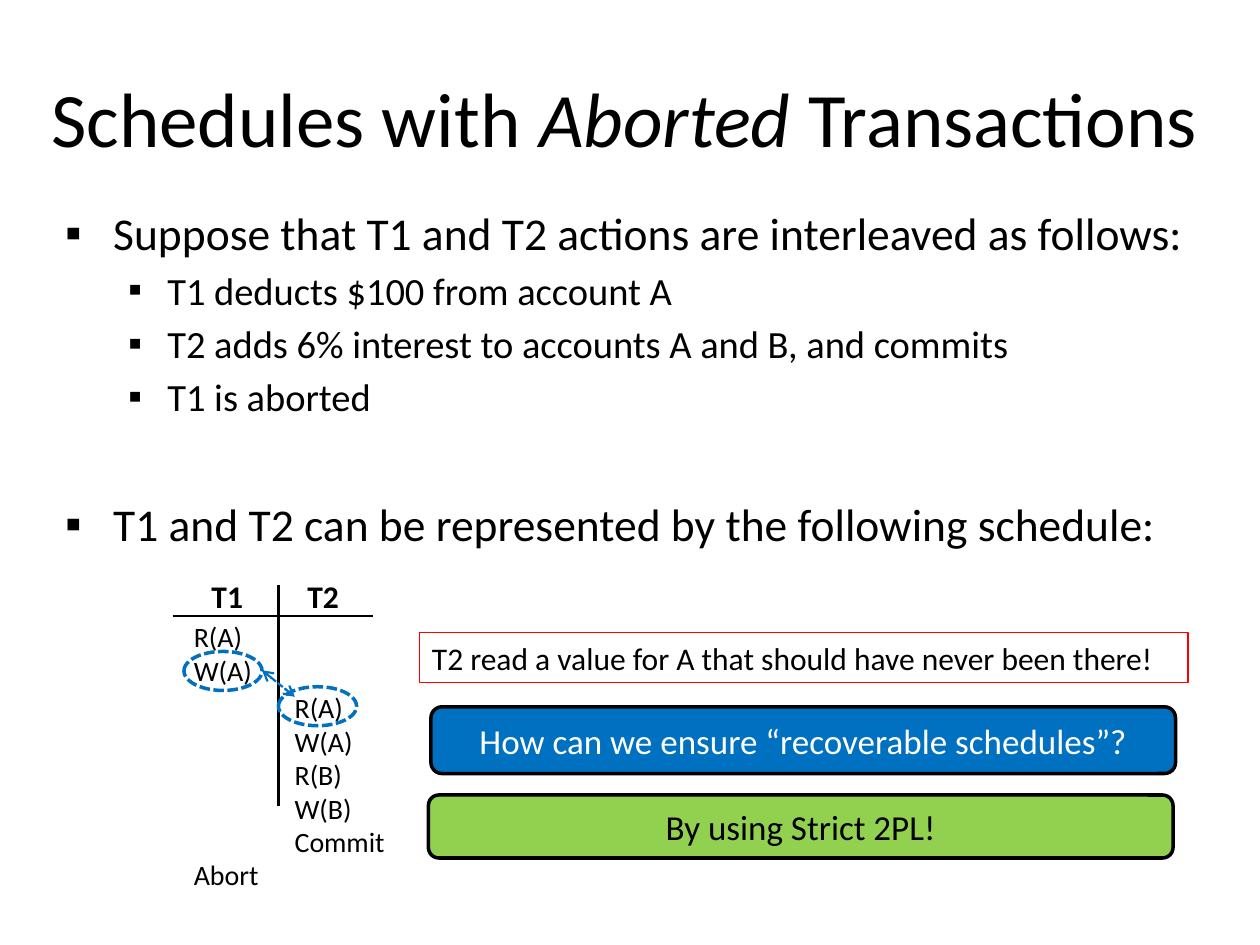
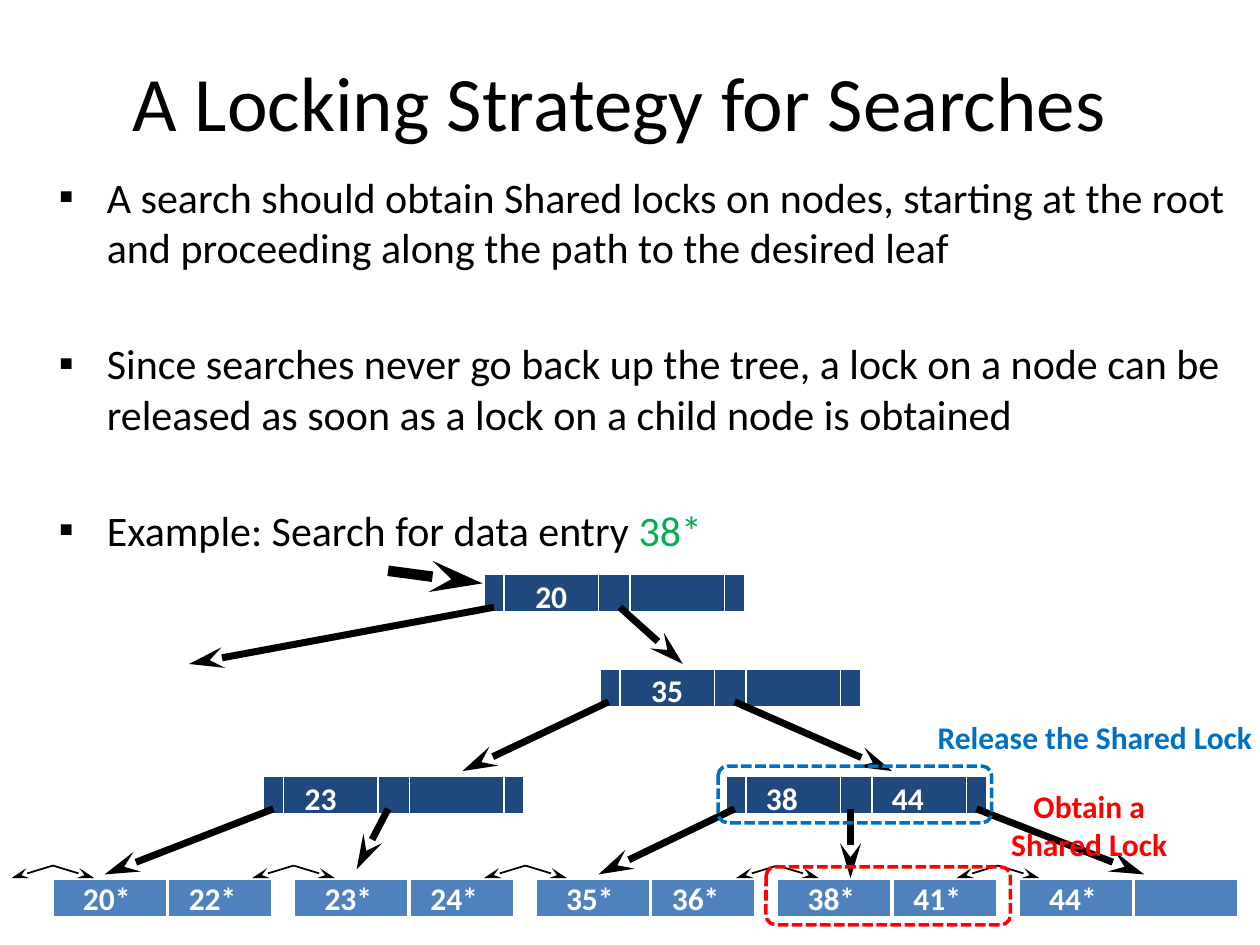
from pptx import Presentation
from pptx.dml.color import RGBColor
from pptx.enum.dml import MSO_LINE
from pptx.enum.shapes import MSO_CONNECTOR, MSO_SHAPE
from pptx.enum.text import MSO_ANCHOR, PP_ALIGN
from pptx.oxml.ns import qn
from pptx.oxml.xmlchemy import OxmlElement
from pptx.util import Inches, Pt

BLACK, WHITE = "000000", "FFFFFF"
BLUE, RED, GREEN, LIME = "0070C0", "FF0000", "00B050", "92D050"
NODE_FILL, LEAF_FILL = "1F497D", "4F81BD"
FONT = "Calibri"
LINE_HEIGHT = 1.22
LEVEL_INDENTS = [(0.38, -0.38), (0.81, -0.31)]
STEALTH = {"type": "stealth", "w": "med", "len": "lg"}
OPEN_ARROW = {"type": "arrow", "w": "med", "len": "med"}


def color(hex_value):
    return RGBColor.from_string(hex_value)


def add_run(paragraph, text, hex_color=BLACK, **font_format):
    run = paragraph.add_run()
    run.text = text
    for name, value in {"name": FONT, **font_format}.items():
        setattr(run.font, name, value)
    run.font.color.rgb = color(hex_color)


def set_frame(frame, wrap=True, anchor=MSO_ANCHOR.TOP):
    values = {"word_wrap": wrap, "vertical_anchor": anchor}
    for name, value in values.items():
        setattr(frame, name, value)


def add_label(slide, box, lines, size, hex_color=BLACK, bold=False, align=PP_ALIGN.LEFT):
    shape = slide.shapes.add_textbox(*map(Inches, box))
    frame = shape.text_frame
    set_frame(frame, wrap=False)
    for index, text in enumerate(lines):
        paragraph = frame.paragraphs[0] if index == 0 else frame.add_paragraph()
        paragraph.alignment = align
        add_run(paragraph, text, hex_color, size=Pt(size), bold=bold)
    return shape


def add_box(slide, kind, box, fill=None, line=BLACK, width=2, dashed=False):
    shape = slide.shapes.add_shape(kind, *map(Inches, box))
    shape.shadow.inherit = False
    if fill:
        shape.fill.solid()
        shape.fill.fore_color.rgb = color(fill)
    else:
        shape.fill.background()
    shape.line.color.rgb = color(line)
    shape.line.width = Pt(width)
    if dashed:
        shape.line.dash_style = MSO_LINE.SQUARE_DOT
    return shape


def add_line(slide, start, end, hex_color=BLACK, width=1.0, dashed=False, head=None, tail=None):
    connector = slide.shapes.add_connector(
        MSO_CONNECTOR.STRAIGHT, *map(Inches, (*start, *end)))
    connector.line.color.rgb = color(hex_color)
    connector.line.width = Pt(width)
    if dashed:
        connector.line.dash_style = MSO_LINE.SQUARE_DOT
    properties = connector._element.spPr
    outline = properties.find(qn("a:ln"))
    for tag, arrowhead in (("a:headEnd", head), ("a:tailEnd", tail)):
        if arrowhead:
            element = OxmlElement(tag)
            for name, value in arrowhead.items():
                element.set(name, value)
            outline.append(element)
    properties.append(OxmlElement("a:effectLst"))


def add_title(slide, box, parts):
    frame = slide.shapes.add_textbox(*map(Inches, box)).text_frame
    set_frame(frame, anchor=MSO_ANCHOR.MIDDLE)
    paragraph = frame.paragraphs[0]
    paragraph.alignment = PP_ALIGN.CENTER
    for text, italic in parts:
        add_run(paragraph, text, size=Pt(44), italic=italic)


def add_bullets(slide, box, items):
    frame = slide.shapes.add_textbox(*map(Inches, box)).text_frame
    set_frame(frame)
    for index, (level, size, space_before, parts) in enumerate(items):
        paragraph = frame.paragraphs[0] if index == 0 else frame.add_paragraph()
        paragraph.level = level
        paragraph.space_before = Pt(space_before)
        margin, indent = LEVEL_INDENTS[level]
        properties = paragraph._p.get_or_add_pPr()
        properties.set("marL", str(Inches(margin)))
        properties.set("indent", str(Inches(indent)))
        for tag, name, value in (("a:buFont", "typeface", FONT), ("a:buChar", "char", "▪")):
            element = OxmlElement(tag)
            element.set(name, value)
            properties.append(element)
        for text, hex_color in parts:
            add_run(paragraph, text, hex_color, size=Pt(size))


def draw_schedule(slide, left, top):
    size = 16
    row = size * LINE_HEIGHT / 72
    add_line(slide, (left + 0.84, top + 0.11), (left + 0.84, top + 1.87), width=1.5)
    add_line(slide, (left, top + 0.36), (left + 1.59, top + 0.36), width=1.5)
    for name, offset in (("T1", 0.21), ("T2", 0.97)):
        add_label(slide, (left + offset, top, 0.45, 0.4), [name], 18, bold=True)
    first = add_label(slide, (left + 0.07, top + 0.34, 0.72, 2.26),
                      ["R(A)", "W(A)", "Abort"], size)
    first.text_frame.paragraphs[-1].space_before = Pt(5 * size * LINE_HEIGHT)
    add_label(slide, (left + 0.87, top + 0.36 + 2 * row, 0.92, 1.45),
              ["R(A)", "W(A)", "R(B)", "W(B)", "Commit"], size)
    for x, y in ((0.84, 0.92), (0.09, 0.64)):
        add_box(slide, MSO_SHAPE.OVAL, (left + x, top + y, 0.62, 0.31), line=BLUE, dashed=True)
    add_line(slide, (left + 0.71, top + 0.79), (left + 0.97, top + 1), BLUE, 1.25, True,
             head=OPEN_ARROW, tail=OPEN_ARROW)


def draw_callouts(slide, left, top):
    add_box(slide, MSO_SHAPE.RECTANGLE, (left, top, 6.1, 0.4), line=RED, width=0.75)
    add_label(slide, (left, top, 6.1, 0.4),
              ["T2 read a value for A that should have never been there!"], 18)
    banners = [
        (0.09, 0.59, 0.53, BLUE, WHITE, "How can we ensure “recoverable schedules”?"),
        (0.07, 1.29, 0.5, LIME, BLACK, "By using Strict 2PL!"),
    ]
    for x, y, height, fill, text_color, text in banners:
        shape = add_box(slide, MSO_SHAPE.ROUNDED_RECTANGLE,
                        (left + x, top + y, 5.91, height), fill)
        set_frame(shape.text_frame, anchor=MSO_ANCHOR.MIDDLE)
        paragraph = shape.text_frame.paragraphs[0]
        paragraph.alignment = PP_ALIGN.CENTER
        add_run(paragraph, text, text_color, size=Pt(20))


def draw_key(slide, left, top, text, width):
    add_label(slide, (left, top, width, 0.4), [text], 18, WHITE, bold=True)


def draw_index_node(slide, left, top, keys, pointers):
    add_box(slide, MSO_SHAPE.RECTANGLE, (left, top, 2.07, 0.3), NODE_FILL, WHITE, 1)
    for offset in (0.16, 0.91, 1.16, 1.91):
        add_line(slide, (left + offset, top), (left + offset, top + 0.3), WHITE)
    for start, end_x, end_y in pointers:
        add_line(slide, (left + start, top + 0.26), (left + end_x, top + end_y),
                 width=4, tail=STEALTH)
    for offset, text in keys:
        draw_key(slide, left + offset, top - 0.03, text, 0.53)


def draw_leaf(slide, left, top, entries):
    add_box(slide, MSO_SHAPE.RECTANGLE, (left, top, 1.74, 0.3), LEAF_FILL, WHITE, 1)
    add_line(slide, (left + 0.91, top), (left + 0.91, top + 0.3), WHITE, 2)
    for offset, text in zip((0.14, 0.98), entries):
        draw_key(slide, left + offset, top - 0.05, text, 0.68)


def draw_tree(slide, left, top):
    leaf_top = top + 2.45
    for peak in (0.34, 2.25, 4.09, 6.09, 7.84):
        for side in (-0.33, 0.33):
            add_line(slide, (left + peak, leaf_top - 0.11),
                     (left + peak + side, leaf_top - 0.01), tail=STEALTH)
    leaves = [["20*", "22*"], ["23*", "24*"], ["35*", "36*"], ["38*", "41*"], ["44*"]]
    for index, entries in enumerate(leaves):
        draw_leaf(slide, left + 0.34 + 1.917 * index, leaf_top, entries)
    nodes = [
        (3.76, 0.03, [(0.31, "20")], [(0.08, -2.34, 0.71), (1.08, 1.58, 0.71)]),
        (4.68, 0.78, [(0.31, "35")], [(0.07, -1.09, 0.81), (1.07, 2.32, 0.81)]),
        (2.01, 1.63, [(0.23, "23")], [(0.08, -1.26, 0.78), (0.99, 0.74, 0.74)]),
        (5.68, 1.63, [(0.22, "38"), (1.22, "44")],
         [(0.07, -1.01, 0.78), (0.99, 0.99, 0.81), (1.99, 3.32, 0.78)]),
    ]
    for x, y, keys, pointers in nodes:
        draw_index_node(slide, left + x, top + y, keys, pointers)
    add_line(slide, (left + 3, top), (left + 3.75, top + 0.1), width=6, tail=STEALTH)


def draw_lock_notes(slide, left, top):
    locks = [
        (BLUE, (0, 0.43, 2.17, 0.45), (1.63, 0, 2.72, 0.4), ["Release the Shared Lock"]),
        (RED, (0.38, 1.23, 1.94, 0.46), (2.22, 0.55, 1.45, 0.71), ["Obtain a", "Shared Lock"]),
    ]
    for hex_color, frame, note, lines in locks:
        frame_box, note_box = (
            (left + x, top + y, width, height) for x, y, width, height in (frame, note))
        add_box(slide, MSO_SHAPE.ROUNDED_RECTANGLE, frame_box, line=hex_color, dashed=True)
        add_label(slide, note_box, lines, 18, hex_color, True, PP_ALIGN.CENTER)


def build_aborted_slide(slide):
    add_title(slide, (0.08, 0.3, 9.75, 1.25),
              [("Schedules with ", False), ("Aborted", True), (" Transactions", False)])
    items = [
        (0, 26, 0, "Suppose that T1 and T2 actions are interleaved as follows:"),
        (1, 22, 4, "T1 deducts $100 from account A"),
        (1, 22, 4, "T2 adds 6% interest to accounts A and B, and commits"),
        (1, 22, 4, "T1 is aborted"),
        (0, 26, 44, "T1 and T2 can be represented by the following schedule:"),
    ]
    add_bullets(slide, (0.42, 1.58, 9.45, 2.95),
                [(*layout, [(text, BLACK)]) for *layout, text in items])
    draw_schedule(slide, 1.37, 4.53)
    draw_callouts(slide, 3.33, 5.02)


def build_locking_slide(slide):
    add_title(slide, (0.17, 0.17, 9.5, 1.25), [("A Locking Strategy for Searches", False)])
    add_bullets(slide, (0.37, 1.31, 9.5, 3.2), [
        (0, 24, 0, [("A search should obtain Shared locks on nodes, starting at the root "
                     "and proceeding along the path to the desired leaf", BLACK)]),
        (0, 24, 37.5, [("Since searches never go back up the tree, a lock on a node can be "
                        "released as soon as a lock on a child node is obtained", BLACK)]),
        (0, 24, 37.5, [("Example: Search for data entry ", BLACK), ("38*", GREEN)]),
    ])
    draw_tree(slide, 0.08, 4.53)
    draw_lock_notes(slide, 5.7, 5.65)


def main():
    presentation = Presentation()
    presentation.slide_width = Inches(10)
    presentation.slide_height = Inches(7.5)
    for build in (build_aborted_slide, build_locking_slide):
        build(presentation.slides.add_slide(presentation.slide_layouts[6]))
    presentation.save("out.pptx")


if __name__ == "__main__":
    main()
